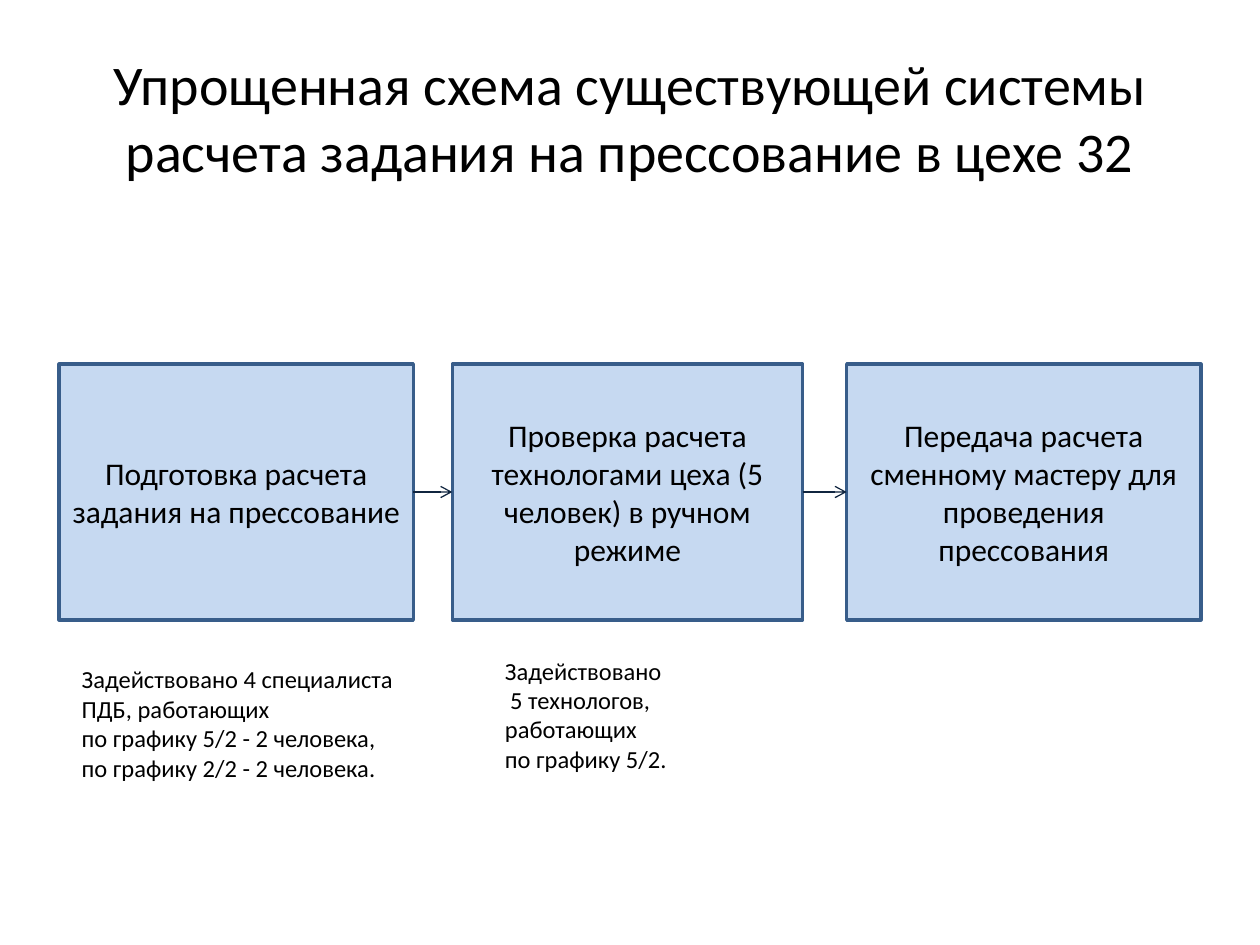
from lxml import etree
from pptx import Presentation, util as u
from pptx.dml.color import RGBColor
from pptx.enum import shapes, text
from pptx.oxml.ns import qn

COLORS = {"text": "000000", "box": "C6D9F1", "border": "385D8A",
          "arrow": "10253F", "note": "FFFFFF"}
LEFT, RIGHT = 1, 3


class SlideBuilder:
    """Holds the text style and the slide being filled."""

    def __init__(self, s, font="Calibri"):
        self.s = s
        self.font = font

    def color(self, name):
        return RGBColor.from_string(COLORS[name])

    def add_text(self, sp, paragraphs, size, align):
        tf = sp.text_frame
        tf.word_wrap = True
        tf.vertical_anchor = text.MSO_ANCHOR.MIDDLE
        for i, line in enumerate(paragraphs):
            p = tf.paragraphs[0] if i == 0 else tf.add_paragraph()
            p.alignment = align
            r = p.add_run()
            r.text = line
            r.font.size = u.Pt(size)
            r.font.name = self.font
            r.font.color.rgb = self.color("text")

    def text_box(self, at, paragraphs, size, align=text.PP_ALIGN.LEFT):
        sp = self.s.shapes.add_textbox(*map(u.Inches, at))
        self.add_text(sp, paragraphs, size, align)
        return sp

    def box(self, at, paragraphs, size, fill, border=None,
            kind=shapes.MSO_SHAPE.RECTANGLE, align=text.PP_ALIGN.CENTER):
        sp = self.s.shapes.add_shape(kind, *map(u.Inches, at))
        sp.shadow.inherit = False
        sp.fill.solid()
        sp.fill.fore_color.rgb = self.color(fill)
        if border:
            sp.line.color.rgb = self.color(border)
            sp.line.width = u.Pt(2)
        else:
            sp.line.fill.background()
        self.add_text(sp, paragraphs, size, align)
        return sp

    def arrow(self, start, end):
        """Join the right side of one box to the left side of the next."""
        c = self.s.shapes.add_connector(shapes.MSO_CONNECTOR.STRAIGHT, 0, 0, 0, 0)
        c.begin_connect(start, RIGHT)
        c.end_connect(end, LEFT)
        c.line.color.rgb = self.color("arrow")
        c.line.width = u.Pt(0.75)
        sp_pr = c._element.spPr
        etree.SubElement(sp_pr.find(qn("a:ln")), qn("a:tailEnd"), type="arrow")
        etree.SubElement(sp_pr, qn("a:effectLst"))


def main():
    prs = Presentation()
    prs.slide_width, prs.slide_height = u.Inches(10), u.Inches(7.5)
    b = SlideBuilder(prs.slides.add_slide(prs.slide_layouts[6]))

    b.text_box((0.5, 0.3, 9, 1.25),
               ["Упрощенная схема существующей системы расчета задания "
                "на прессование в цехе 32"], 32, text.PP_ALIGN.CENTER)

    process = shapes.MSO_SHAPE.FLOWCHART_PROCESS
    steps = [
        (0.47, 2.81, process, "Подготовка расчета задания на прессование"),
        (3.59, 2.78, shapes.MSO_SHAPE.RECTANGLE,
         "Проверка расчета технологами цеха (5 человек) в ручном режиме"),
        (6.72, 2.81, process,
         "Передача расчета сменному мастеру для проведения прессования"),
    ]
    boxes = [b.box((x, 2.89, w, 2.03), [label], 18, "box", "border", kind)
             for x, w, kind, label in steps]
    for start, end in zip(boxes, boxes[1:]):
        b.arrow(start, end)

    b.box((0.55, 5, 2.89, 1.48),
          ["Задействовано 4 специалиста ПДБ, работающих",
           "по графику 5/2 - 2 человека,",
           "по графику 2/2 - 2 человека."], 14, "note", align=text.PP_ALIGN.LEFT)
    staff = b.text_box((3.91, 4.77, 2.34, 1.8),
                       ["Задействовано", "5 технологов, работающих",
                        "по графику 5/2."], 14)
    indented = staff.text_frame.paragraphs[1]
    indented._p.get_or_add_pPr().set("indent", str(u.Inches(0.04)))

    prs.save("out.pptx")


if __name__ == "__main__":
    main()
